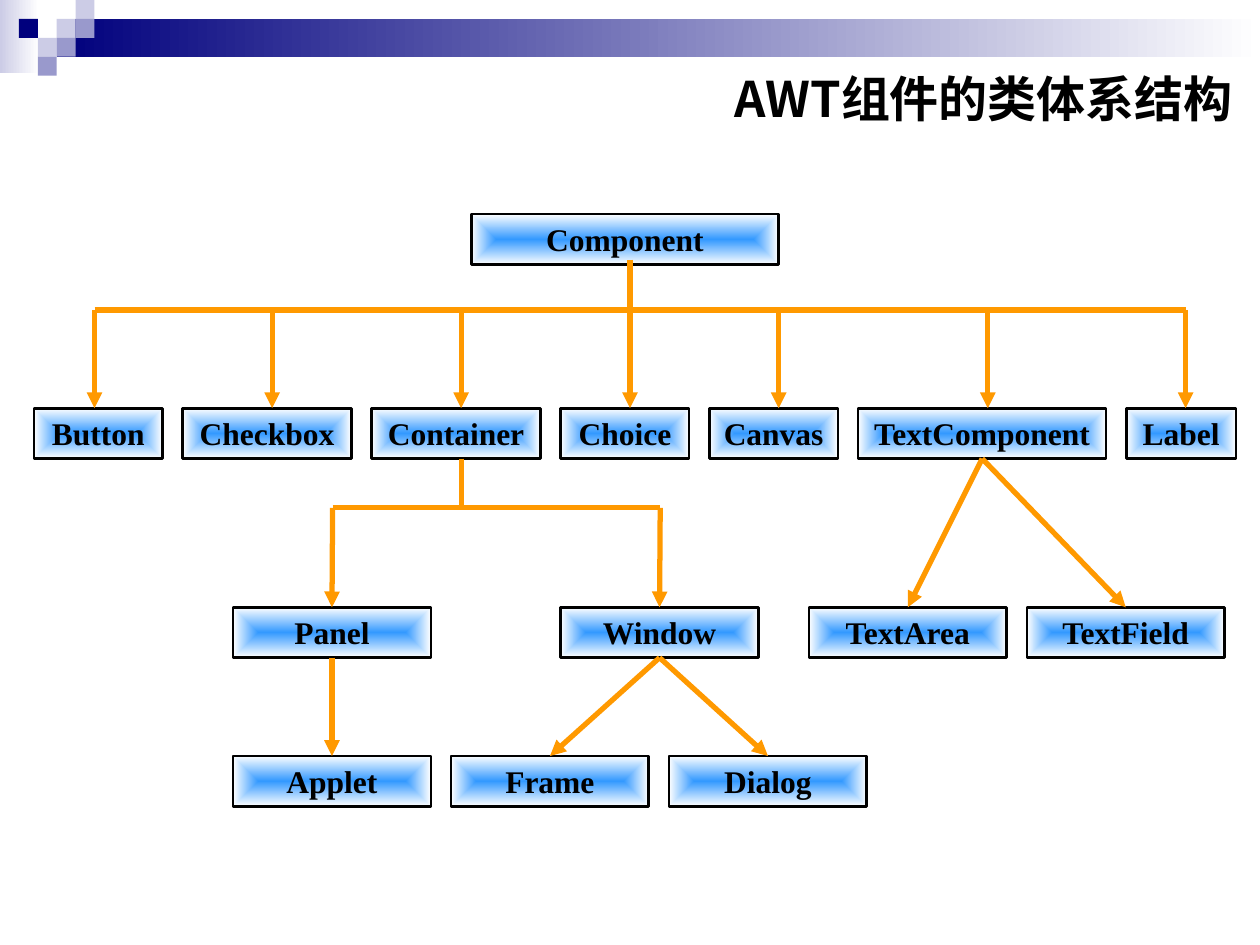
from dataclasses import dataclass
from typing import NamedTuple, Optional

from lxml import etree
from pptx import Presentation
from pptx import util as u
from pptx.dml.color import RGBColor
from pptx.enum import shapes, text
from pptx.oxml import ns


@dataclass(frozen=True)
class Theme:
    navy: str = "00007D"
    violet: str = "9999CC"
    lavender: str = "CCCCE6"
    white: str = "FFFFFF"
    black: str = "000000"
    blue: str = "3399FF"
    orange: str = "FF9900"
    title_font: str = "Noto Sans CJK SC"
    label_font: str = "Times New Roman"
    title_size: float = 28
    label_size: float = 18
    border: float = 1.5
    link: float = 3


class Box(NamedTuple):
    label: str
    left: float
    top: float
    width: float


class Tile(NamedTuple):
    column: int
    row: int
    color: str


class Link(NamedTuple):
    parent: str
    child: str


THEME = Theme()
TILE = 0.15
BOX_HEIGHT = 0.4
BOX_GAP = 0.16
CLASS_WIDTH = 1.57
ROOT_TOP, CHILD_TOP, MIDDLE_TOP, LEAF_TOP = 1.7, 3.24, 4.82, 6
ROOT_BUS, CONTAINER_BUS = 2.46, 4.03
ROOT_X, CONTAINER_X = 5, 3.66
TOP_SIDE, BOTTOM_SIDE = 0, 2

TILES = [
    Tile(3, 1, THEME.lavender), Tile(4, 0, THEME.lavender),
    Tile(4, 1, THEME.violet), Tile(2, 2, THEME.lavender),
    Tile(1, 1, THEME.navy), Tile(3, 2, THEME.violet),
    Tile(2, 3, THEME.violet),
]
CHILDREN = {
    "Button": 1.02, "Checkbox": 1.34, "Container": 1.34, "Choice": 1.02,
    "Canvas": 1.02, "TextComponent": 1.97, "Label": 0.87,
}
CHILD_DROPS = [0.75, 2.16, CONTAINER_X, 6.18, 7.84, 9.41]
LINKS = [
    Link("Panel", "Applet"), Link("Window", "Frame"),
    Link("Window", "Dialog"), Link("TextComponent", "TextArea"),
    Link("TextComponent", "TextField"),
]


def row_of_boxes(left: float, top: float, widths: dict) -> list[Box]:
    boxes = []
    for label, width in widths.items():
        boxes.append(Box(label, left, top, width))
        left += width + BOX_GAP
    return boxes


def class_row(left: float, top: float, *labels: str) -> list[Box]:
    return row_of_boxes(left, top, dict.fromkeys(labels, CLASS_WIDTH))


def add_rectangle(slide, left: float, top: float, width: float,
                  height: float, *colors: str):
    shape = slide.shapes.add_shape(
        shapes.MSO_SHAPE.RECTANGLE, u.Inches(left), u.Inches(top),
        u.Inches(width), u.Inches(height))
    shape.shadow.inherit = False
    shape.line.fill.background()
    if len(colors) == 1:
        shape.fill.solid()
        shape.fill.fore_color.rgb = RGBColor.from_string(colors[0])
    else:
        shape.fill.gradient()
        shape.fill.gradient_angle = 0
        for stop, color, position in zip(shape.fill.gradient_stops, colors, (0, 1)):
            stop.color.rgb = RGBColor.from_string(color)
            stop.position = position
    return shape


def make_gradient_radiate(shape) -> None:
    gradient = shape._element.spPr.find(ns.qn("a:gradFill"))
    linear = gradient.find(ns.qn("a:lin"))
    radial = etree.Element(ns.qn("a:path"), {"path": "rect"})
    sides = dict.fromkeys("ltrb", "50000")
    etree.SubElement(radial, ns.qn("a:fillToRect"), sides)
    gradient.replace(linear, radial)


def add_run(paragraph, words: str, font: str, size: float) -> None:
    run = paragraph.add_run()
    run.text = words
    run.font.name = font
    run.font.size = u.Pt(size)
    run.font.bold = True
    run.font.color.rgb = RGBColor.from_string(THEME.black)
    latin = run._r.get_or_add_rPr().find(ns.qn("a:latin"))
    latin.addnext(etree.Element(ns.qn("a:ea"), {"typeface": font}))


def add_title(slide, words: str) -> None:
    title = slide.shapes.add_textbox(
        u.Inches(4.76), u.Inches(0.44), u.Inches(5.12), u.Inches(0.67))
    frame = title.text_frame
    frame.word_wrap = True
    frame.vertical_anchor = text.MSO_ANCHOR.MIDDLE
    paragraph = frame.paragraphs[0]
    paragraph.alignment = text.PP_ALIGN.RIGHT
    add_run(paragraph, words, THEME.title_font, THEME.title_size)


def add_box(slide, box: Box):
    shape = add_rectangle(slide, box.left, box.top, box.width, BOX_HEIGHT,
                          THEME.blue, THEME.white)
    make_gradient_radiate(shape)
    shape.line.color.rgb = RGBColor.from_string(THEME.black)
    shape.line.width = u.Pt(THEME.border)
    frame = shape.text_frame
    frame.word_wrap = True
    frame.vertical_anchor = text.MSO_ANCHOR.TOP
    paragraph = frame.paragraphs[0]
    paragraph.alignment = text.PP_ALIGN.CENTER
    add_run(paragraph, box.label, THEME.label_font, THEME.label_size)
    return shape


def add_line(slide, start: tuple[float, float] = (0, 0),
             end: tuple[float, float] = (0, 0), arrow: bool = False,
             parent: Optional[object] = None, child: Optional[object] = None) -> None:
    connector = slide.shapes.add_connector(
        shapes.MSO_CONNECTOR.STRAIGHT, *map(u.Inches, (*start, *end)))
    if parent is not None:
        connector.begin_connect(parent, BOTTOM_SIDE)
    if child is not None:
        connector.end_connect(child, TOP_SIDE)
    connector.line.color.rgb = RGBColor.from_string(THEME.orange)
    connector.line.width = u.Pt(THEME.link)
    if arrow:
        outline = connector.line._get_or_add_ln()
        etree.SubElement(outline, ns.qn("a:tailEnd"), {"type": "triangle"})
    etree.SubElement(connector._element.spPr, ns.qn("a:effectLst"))


def main() -> None:
    presentation = Presentation()
    presentation.slide_width = u.Inches(10)
    presentation.slide_height = u.Inches(7.5)
    slide = presentation.slides.add_slide(presentation.slide_layouts[6])

    add_rectangle(slide, 0, 0, 0.31, 0.58, THEME.lavender, THEME.white)
    add_rectangle(slide, 0.45, 0.15, 9.55, 0.3, THEME.navy, THEME.white)
    for tile in TILES:
        add_rectangle(slide, tile.column * TILE, tile.row * TILE, TILE, TILE, tile.color)
    add_title(slide, "AWT组件的类体系结构")

    boxes = [
        Box("Component", 3.74, ROOT_TOP, 2.44),
        *row_of_boxes(0.27, CHILD_TOP, CHILDREN),
        *class_row(1.85, MIDDLE_TOP, "Panel"),
        *class_row(4.45, MIDDLE_TOP, "Window"),
        *class_row(6.42, MIDDLE_TOP, "TextArea", "TextField"),
        *class_row(1.85, LEAF_TOP, "Applet", "Frame", "Dialog"),
    ]
    drawn = {box.label: add_box(slide, box) for box in boxes}

    add_line(slide, (ROOT_X, 2.06), (ROOT_X, CHILD_TOP), arrow=True)
    add_line(slide, (CHILD_DROPS[0], ROOT_BUS), (CHILD_DROPS[-1], ROOT_BUS))
    for x in CHILD_DROPS:
        add_line(slide, (x, ROOT_BUS), (x, CHILD_TOP), arrow=True)

    add_line(slide, (CONTAINER_X, CHILD_TOP + BOX_HEIGHT), (CONTAINER_X, CONTAINER_BUS))
    add_line(slide, (2.64, CONTAINER_BUS), (5.24, CONTAINER_BUS))
    for x, label in ((2.64, "Panel"), (5.24, "Window")):
        add_line(slide, (x, CONTAINER_BUS), arrow=True, child=drawn[label])
    for link in LINKS:
        add_line(slide, arrow=True, parent=drawn[link.parent], child=drawn[link.child])

    presentation.save("out.pptx")


if __name__ == "__main__":
    main()
